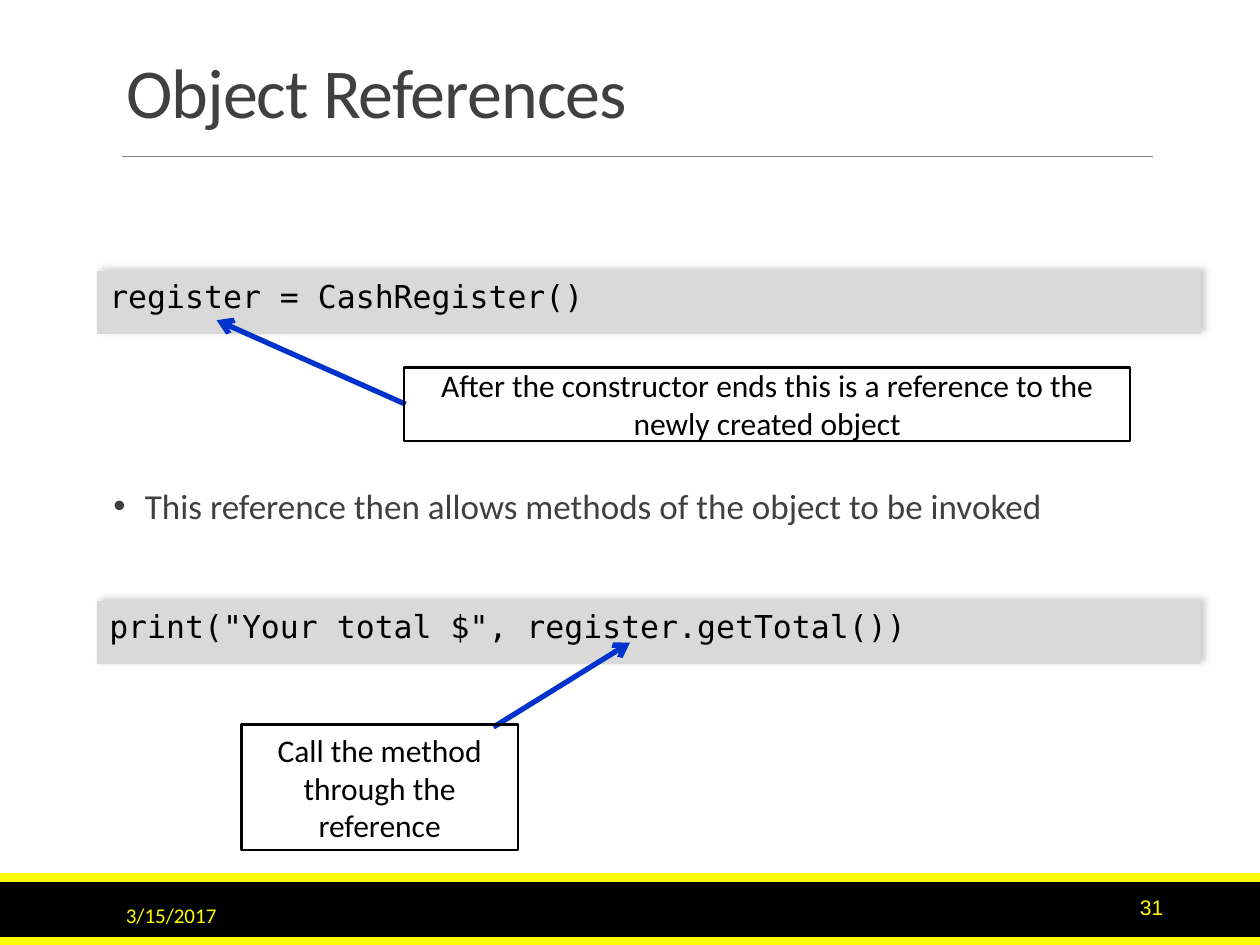
import pptx
import pptx.dml.color
import pptx.enum.shapes
import pptx.enum.text
import pptx.oxml
import pptx.oxml.ns
import pptx.util
from lxml import etree

Pt = pptx.util.Pt
ALIGN = pptx.enum.text.PP_ALIGN
ANCHOR = pptx.enum.text.MSO_ANCHOR
COLORS = {
    "ink": "000000", "body": "404040", "accent": "FFFF00", "code": "D9D9D9",
    "rule": "808080", "arrow": "0033CC", "shadow": "808080",
}
BODY_FONT, CODE_FONT, NUMBER_FONT = "Calibri", "DejaVu Sans Mono", "Arial"


def rgb(name):
    return pptx.dml.color.RGBColor.from_string(COLORS[name])


def add_xml(parent, tag, **attributes):
    element = etree.SubElement(parent, pptx.oxml.ns.qn(tag))
    for key, value in attributes.items():
        element.set(key, str(value))
    return element


def write_text(shape, text, size=18, font=BODY_FONT, color="ink", align=ALIGN.LEFT,
               anchor=ANCHOR.TOP, line_spacing=None, before=0, after=0):
    frame = shape.text_frame
    frame.word_wrap = True
    frame.auto_size = pptx.enum.text.MSO_AUTO_SIZE.NONE
    frame.vertical_anchor = anchor
    paragraph = frame.paragraphs[0]
    paragraph.alignment = align
    paragraph.line_spacing = line_spacing
    paragraph.space_before, paragraph.space_after = Pt(before), Pt(after)
    run = paragraph.add_run()
    run.text = text
    run.font.size, run.font.name = Pt(size), font
    run.font.color.rgb = rgb(color)
    return paragraph, run


class SlideBuilder:
    def __init__(self, slide):
        self.slide = slide

    def title(self, text, left, top, width, height):
        shape = self.slide.shapes.title
        shape.left, shape.top, shape.width, shape.height = map(Pt, (left, top, width, height))
        _, run = write_text(shape, text, size=40, color="body",
                            anchor=ANCHOR.BOTTOM, line_spacing=0.85)
        run.font._element.set("spc", "-50")

    def box(self, left, top, width, height, fill=None, line=None):
        shape = self.slide.shapes.add_shape(
            pptx.enum.shapes.MSO_SHAPE.RECTANGLE, *map(Pt, (left, top, width, height)))
        shape.shadow.inherit = False
        if fill:
            shape.fill.solid()
            shape.fill.fore_color.rgb = rgb(fill)
        else:
            shape.fill.background()
        if line:
            shape.line.color.rgb = rgb(line)
            shape.line.width = Pt(1.25)
        else:
            shape.line.fill.background()
        return shape

    def code(self, text, top):
        shape = self.box(55.4, top, 630.7, 36, fill="code")
        effects = shape._element.spPr.find(pptx.oxml.ns.qn("a:effectLst"))
        shadow = add_xml(effects, "a:outerShdw", blurRad=Pt(4), dist=Pt(3),
                         dir=315 * 60000, algn="bl", rotWithShape=0)
        color = add_xml(shadow, "a:srgbClr", val=COLORS["shadow"])
        add_xml(color, "a:alpha", val=40000)
        write_text(shape, text, font=CODE_FONT)

    def callout(self, text, left, top, width, height):
        shape = self.box(left, top, width, height, line="ink")
        write_text(shape, text, align=ALIGN.CENTER, anchor=ANCHOR.MIDDLE)

    def label(self, text, left, top, width, height, **style):
        shape = self.slide.shapes.add_textbox(*map(Pt, (left, top, width, height)))
        return shape, write_text(shape, text, **style)[0]

    def bullet(self, text, left, top, width, height):
        shape, paragraph = self.label(text, left, top, width, height, size=20, color="body",
                                      line_spacing=0.9, before=12, after=2)
        shape.text_frame.margin_left = shape.text_frame.margin_right = 0
        properties = paragraph._p.get_or_add_pPr()
        properties.set("marL", str(Pt(18)))
        properties.set("indent", str(Pt(-18)))
        add_xml(properties, "a:buFont", typeface=NUMBER_FONT)
        add_xml(properties, "a:buChar", char="•")

    def line(self, start, end, color, width, arrow=False):
        connector = self.slide.shapes.add_connector(
            pptx.enum.shapes.MSO_CONNECTOR.STRAIGHT, *map(Pt, start + end))
        connector.line.color.rgb = rgb(color)
        connector.line.width = Pt(width)
        if arrow:
            add_xml(connector.line._get_or_add_ln(), "a:tailEnd", type="arrow")
        add_xml(connector._element.spPr, "a:effectLst")


def main():
    presentation = pptx.Presentation()
    presentation.slide_width, presentation.slide_height = Pt(720), Pt(540)
    builder = SlideBuilder(presentation.slides.add_slide(presentation.slide_layouts[5]))

    # Footer band and title rule
    builder.box(0, 504, 720, 36, fill="ink")
    for top in (499, 535.5):
        builder.box(0, top, 720, 5, fill="accent")
    builder.line((70, 89.5), (659, 89.5), "rule", 0.5)
    footer = dict(size=12, color="accent", anchor=ANCHOR.MIDDLE)
    builder.label("31", 594, 504, 77.8, 28.8, font=NUMBER_FONT, align=ALIGN.RIGHT, **footer)
    builder.label("3/15/2017", 64.8, 508.5, 146, 28.8, **footer)

    # Title and bullet
    builder.title("Object References", 64.8, 22.3, 594, 57)
    builder.bullet("This reference then allows methods of the object to be invoked",
                   64.8, 275.8, 594, 46)

    # Creating the object
    builder.code("register = CashRegister()", 154.8)
    builder.line((231.8, 231), (123.8, 183), "arrow", 3, arrow=True)
    builder.callout("After the constructor ends this is a reference to the newly created object",
                    231, 210, 415, 42)

    # Calling a method on it
    builder.code('print("Your total $", register.getTotal())', 343.5)
    builder.line((282, 415.5), (360, 367.2), "arrow", 3, arrow=True)
    builder.callout("Call the method through the reference", 138, 414, 158, 72)

    presentation.save("out.pptx")


if __name__ == "__main__":
    main()
